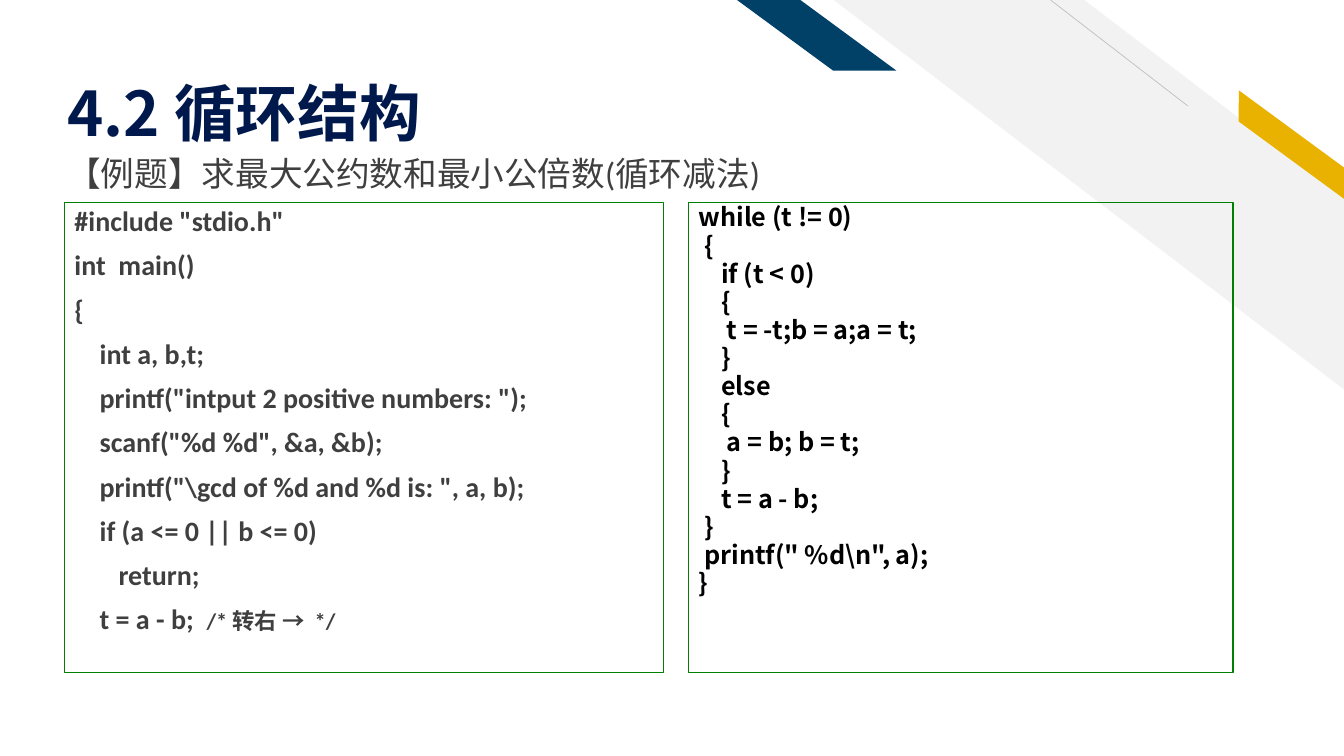
from lxml.etree import SubElement
from pptx import Presentation
from pptx.dml.color import RGBColor
from pptx.enum.shapes import MSO_CONNECTOR, MSO_SHAPE
from pptx.enum.text import MSO_ANCHOR, PP_ALIGN
from pptx.oxml.ns import qn
from pptx.util import Inches, Pt

NAVY = RGBColor(0x00, 0x19, 0x4C)
BLUE = RGBColor(0x01, 0x40, 0x67)
GOLD = RGBColor(0xEA, 0xB2, 0x00)
PALE = RGBColor(0xF2, 0xF2, 0xF2)
SILVER = RGBColor(0xBF, 0xBF, 0xBF)
GRAY = RGBColor(0x3F, 0x3F, 0x3F)
GREEN = RGBColor(0x00, 0x80, 0x00)
BLACK = RGBColor(0x00, 0x00, 0x00)
LATIN_FONT = "Calibri"
CHINESE_FONT = "Noto Sans CJK SC"

TITLE = {"name": CHINESE_FONT, "size": Pt(44), "bold": True, "color": NAVY}
SUBTITLE = {"name": LATIN_FONT, "size": Pt(24), "bold": False, "color": GRAY}
LEFT_CODE = {"name": LATIN_FONT, "size": Pt(20), "bold": True, "color": GRAY}
COMMENT = {**LEFT_CODE, "size": Pt(16)}
RIGHT_CODE = {"name": CHINESE_FONT, "size": Pt(18), "bold": True, "color": BLACK}

LEFT_LINES = [
    (0, '#include "stdio.h"'),
    (0, "int  main()"),
    (0, "{"),
    (4, "int a, b,t;"),
    (4, 'printf("intput 2 positive numbers: ");'),
    (4, 'scanf("%d %d", &a, &b);'),
    (4, 'printf("\\gcd of %d and %d is: ", a, b);'),
    (4, "if (a <= 0 || b <= 0)"),
    (7, "return;"),
    (4, "t = a - b;  "),
]
RIGHT_LINES = [
    (0, "while (t != 0)"),
    (1, "{"),
    (4, "if (t < 0)"),
    (4, "{"),
    (5, "t = -t;b = a;a = t;"),
    (4, "}"),
    (4, "else"),
    (4, "{"),
    (5, "a = b; b = t;"),
    (4, "}"),
    (4, "t = a - b;"),
    (1, "}"),
    (1, 'printf(" %d\\n", a);'),
    (0, "}"),
]


class SlideBuilder:
    def __init__(self, slide):
        self.slide = slide
        self.space_width = 0.225

    def stripe(self, preset, box, adjustment, color, rotation=0):
        shape = self.slide.shapes.add_shape(preset, *map(Inches, box))
        shape.shadow.inherit = False
        shape.adjustments[0] = adjustment
        shape.fill.solid()
        shape.fill.fore_color.rgb = color
        shape.line.fill.background()
        shape.rotation = rotation
        shape._element.spPr.find(qn("a:xfrm")).set("flipH", "1")

    def line(self, start, end, color, width):
        connector = self.slide.shapes.add_connector(
            MSO_CONNECTOR.STRAIGHT, *map(Inches, start + end))
        connector.line.color.rgb = color
        connector.line.width = Pt(width)
        SubElement(connector._element.spPr, qn("a:effectLst"))

    def run(self, paragraph, text, style):
        run = paragraph.add_run()
        run.text = text
        for key, value in style.items():
            if key == "color":
                run.font.color.rgb = value
            else:
                setattr(run.font, key, value)
        east_asian = SubElement(run._r.get_or_add_rPr(), qn("a:ea"))
        east_asian.set("typeface", CHINESE_FONT)

    def frame(self, shape, anchor, bottom=0.05):
        settings = {
            "word_wrap": True,
            "vertical_anchor": anchor,
            "margin_left": Inches(0.1),
            "margin_right": Inches(0.1),
            "margin_top": Inches(0.05),
            "margin_bottom": Inches(bottom),
        }
        for key, value in settings.items():
            setattr(shape.text_frame, key, value)
        return shape.text_frame

    def text(self, box, text, style, anchor=MSO_ANCHOR.TOP, bottom=0.05):
        shape = self.slide.shapes.add_textbox(*map(Inches, box))
        paragraph = self.frame(shape, anchor, bottom).paragraphs[0]
        paragraph.line_spacing = 0.9
        self.run(paragraph, text, style)

    def code(self, box, lines, style, line_spacing, space_before):
        shape = self.slide.shapes.add_shape(MSO_SHAPE.RECTANGLE, *map(Inches, box))
        shape.shadow.inherit = False
        shape.fill.background()
        shape.line.color.rgb = GREEN
        shape.line.width = Pt(0.75)
        frame = self.frame(shape, MSO_ANCHOR.TOP)
        for index, (depth, text) in enumerate(lines):
            paragraph = frame.add_paragraph() if index else frame.paragraphs[0]
            paragraph.alignment = PP_ALIGN.LEFT
            paragraph.line_spacing = line_spacing
            paragraph.space_before = Pt(space_before)
            indent = int(depth * self.space_width * style["size"])
            paragraph._p.get_or_add_pPr().set("marL", str(indent))
            self.run(paragraph, text, style)
        return paragraph


def main():
    presentation = Presentation()
    presentation.slide_width = Inches(13.33)
    presentation.slide_height = Inches(7.5)
    builder = SlideBuilder(presentation.slides.add_slide(presentation.slide_layouts[6]))
    builder.stripe(MSO_SHAPE.DIAGONAL_STRIPE, (8.27, 0, 5.07, 3.87), 0.51, PALE)
    builder.line((11.78, 1.05), (10.42, 0), SILVER, 0.5)
    builder.stripe(MSO_SHAPE.PARALLELOGRAM, (12.07, 1.31, 1.48, 0.25), 0.72, GOLD, 36.3)
    builder.stripe(MSO_SHAPE.PARALLELOGRAM, (7.31, 0, 1.58, 0.7), 1.36, BLUE)
    builder.text((0.57, 1.51, 8.06, 0.67), "【例题】求最大公约数和最小公倍数(循环减法)", SUBTITLE)
    builder.text((0.57, 0.23, 9.11, 1.26), "4.2 循环结构", TITLE, MSO_ANCHOR.BOTTOM, 0)
    last_line = builder.code((0.64, 2.01, 5.94, 4.66), LEFT_LINES, LEFT_CODE, 0.9, 10)
    builder.run(last_line, "/* 转右 →  */", COMMENT)
    builder.code((6.83, 2.01, 5.4, 4.66), RIGHT_LINES, RIGHT_CODE, 0.8, 2.8)
    presentation.save("out.pptx")


if __name__ == "__main__":
    main()
